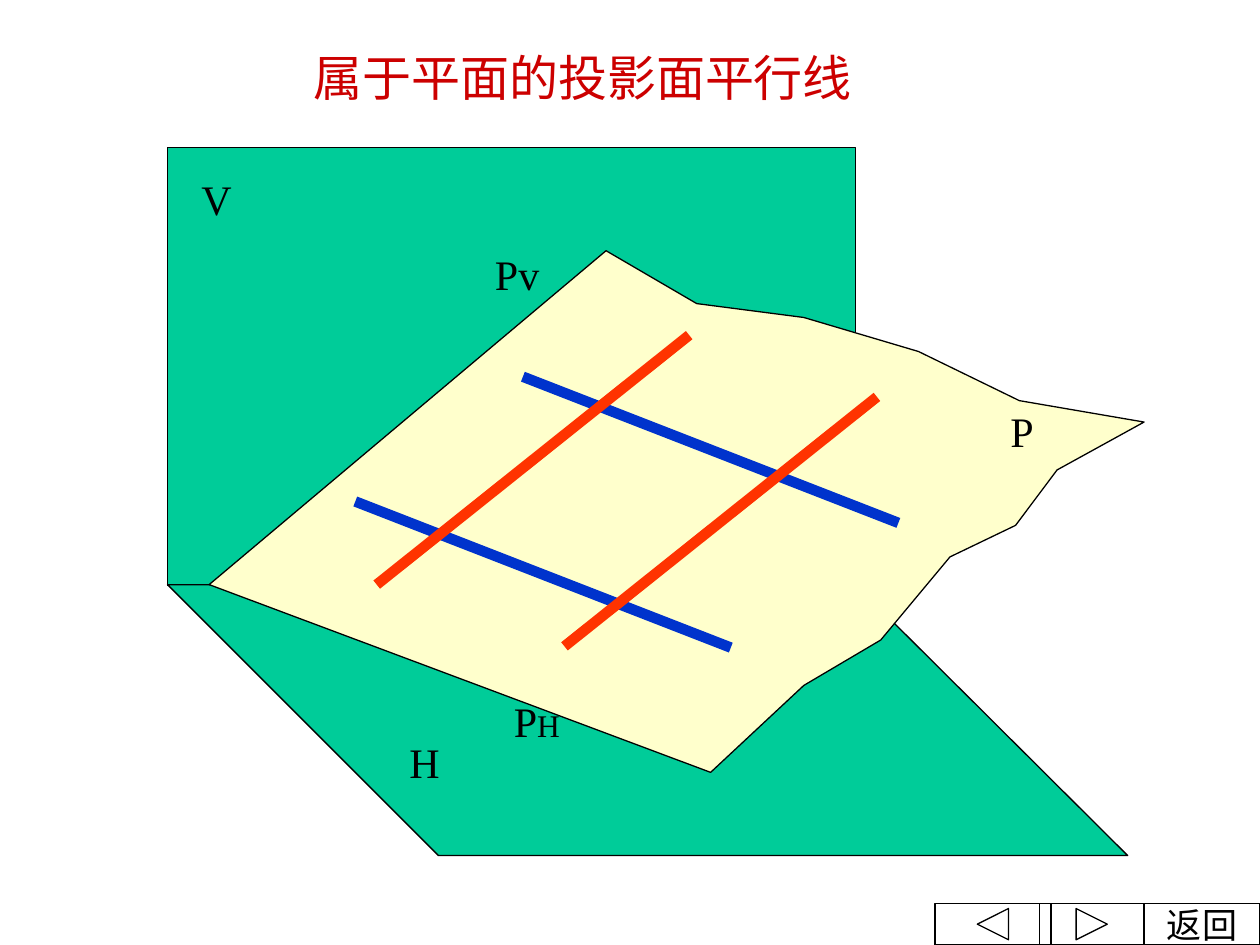
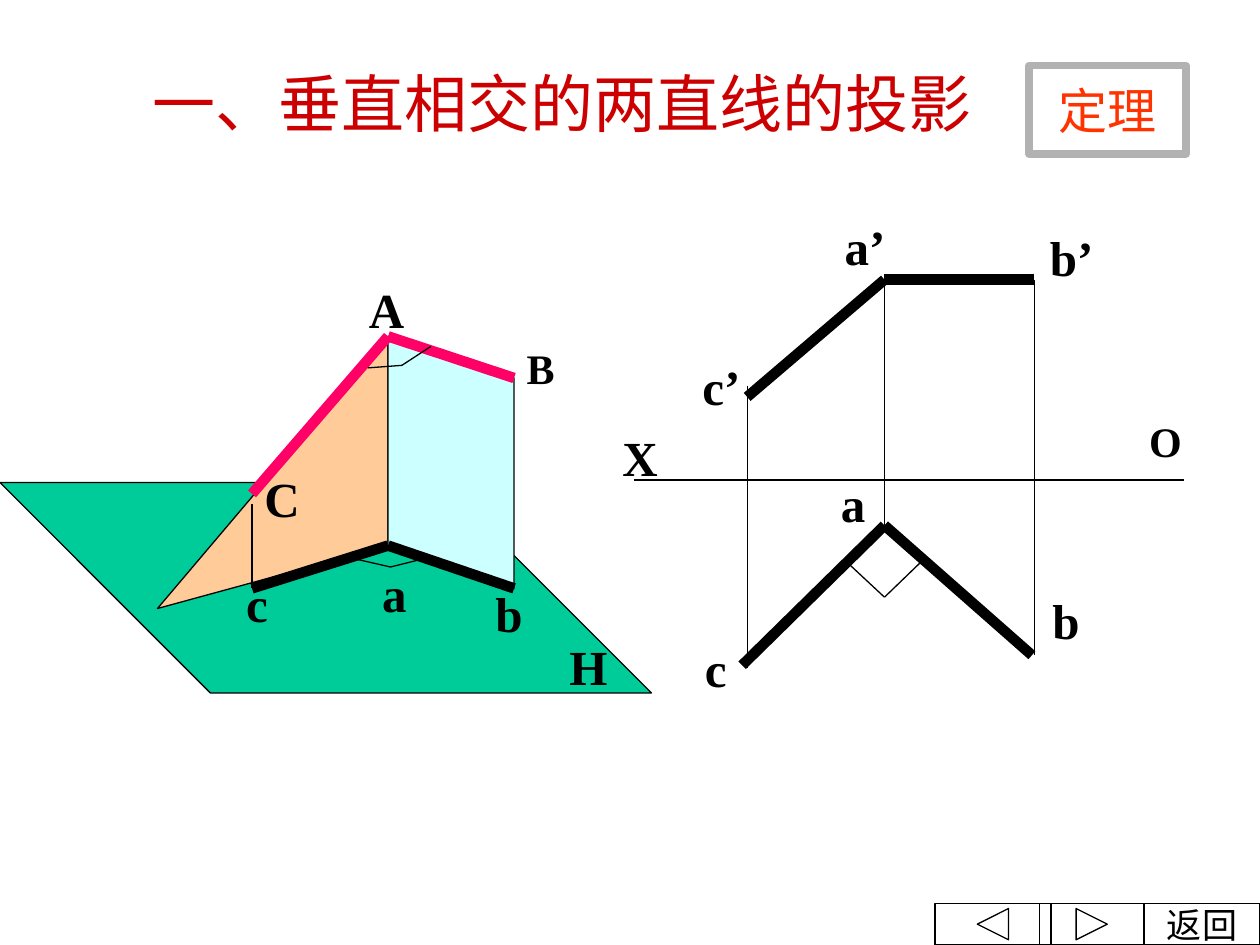
from itertools import pairwise

from lxml import etree
from pptx import Presentation
from pptx.dml.color import RGBColor
from pptx.enum.shapes import MSO_CONNECTOR, MSO_SHAPE
from pptx.enum.text import MSO_ANCHOR, MSO_AUTO_SIZE, PP_ALIGN
from pptx.oxml.ns import qn
from pptx.util import Inches, Pt

COLUMNS, ROWS = 10, 7.5
CELL = Inches(1)
TITLE_ONLY = 5
FONT = "Times New Roman"
THIN, THICK, FRAME = 0.75, 6, 4.5

BLACK = RGBColor(0x00, 0x00, 0x00)
PLANE_GREEN = RGBColor(0x00, 0xCC, 0x99)
PLANE_YELLOW = RGBColor(0xFF, 0xFF, 0xCC)
PLANE_ORANGE = RGBColor(0xFF, 0xCC, 0x99)
PLANE_CYAN = RGBColor(0xCC, 0xFF, 0xFF)
TITLE_RED = RGBColor(0xCC, 0x00, 0x00)
BLUE = RGBColor(0x00, 0x33, 0xCC)
ORANGE_RED = RGBColor(0xFF, 0x33, 0x00)
PINK = RGBColor(0xFF, 0x00, 0x66)
GREY = RGBColor(0xB2, 0xB2, 0xB2)

LEFT, CENTER = PP_ALIGN.LEFT, PP_ALIGN.CENTER
TOP, MIDDLE = MSO_ANCHOR.TOP, MSO_ANCHOR.MIDDLE
NO_AUTOFIT = MSO_AUTO_SIZE.NONE
STRAIGHT = MSO_CONNECTOR.STRAIGHT
RECTANGLE = MSO_SHAPE.RECTANGLE
BUTTON = MSO_SHAPE.ACTION_BUTTON_CUSTOM
BACK_BUTTON = MSO_SHAPE.ACTION_BUTTON_BACK_OR_PREVIOUS
NEXT_BUTTON = MSO_SHAPE.ACTION_BUTTON_FORWARD_OR_NEXT


def cells(*counts):
    return [round(count * CELL) for count in counts]


def style_run(run, size, color=BLACK, bold=False):
    run.font.name = FONT
    run.font.size = Pt(size)
    run.font.color.rgb = color
    run.font.bold = bold


def write(frame, text, size, color=BLACK, bold=False, align=CENTER):
    frame.text = text
    paragraph = frame.paragraphs[0]
    paragraph.alignment = align
    style_run(paragraph.runs[0], size, color, bold)
    return paragraph


def paint(shape, fill=None, line=BLACK, width=THIN):
    shape.shadow.inherit = False
    if fill is None:
        shape.fill.background()
    else:
        shape.fill.solid()
        shape.fill.fore_color.rgb = fill
    shape.line.color.rgb = line
    shape.line.width = Pt(width)


def add_title(slide, text, area, size, align, anchor):
    title = slide.shapes.title
    title.left, title.top, title.width, title.height = cells(*area)
    write(title.text_frame, text, size, TITLE_RED, align=align)
    title.text_frame.auto_size = NO_AUTOFIT
    title.text_frame.vertical_anchor = anchor


def add_label(slide, text, col, row, width, size=28, bold=True, align=CENTER):
    height = size * 1.2 / 72 + 0.1
    label = slide.shapes.add_textbox(*cells(col, row, width, height))
    label.text_frame.word_wrap = True
    return write(label.text_frame, text, size, bold=bold, align=align)


def add_preset(slide, preset, area, **look):
    shape = slide.shapes.add_shape(preset, *cells(*area))
    paint(shape, **look)
    return shape


def add_button(slide, text, area, size, color=BLACK, **look):
    frame = add_preset(slide, BUTTON, area, **look).text_frame
    frame.word_wrap = False
    frame.vertical_anchor = MIDDLE
    write(frame, text, size, color)


def add_outline(slide, points, fill=None, closed=True):
    start, *rest = [cells(*point) for point in points]
    builder = slide.shapes.build_freeform(*start)
    builder.add_line_segments(rest, close=closed)
    paint(builder.convert_to_shape(), fill)


def add_path(slide, points, color=BLACK, width=THIN):
    for start, end in pairwise(points):
        segment = slide.shapes.add_connector(STRAIGHT, *cells(*start, *end))
        segment.line.color.rgb = color
        segment.line.width = Pt(width)
        etree.SubElement(segment._element.spPr, qn("a:effectLst"))


def add_navigation(slide):
    height = 0.33
    top = ROWS - height
    add_button(slide, "返回", (9.08, top, COLUMNS - 9.08, height), 20)
    add_preset(slide, BACK_BUTTON, (7.42, top, 0.92, height))
    add_preset(slide, NEXT_BUTTON, (8.25, top, 0.83, height))


def build_parallel_lines(slide):
    add_title(slide, "属于平面的投影面平行线", (1.5, 0.33, 6.25, 0.57), 28, CENTER, TOP)

    add_preset(slide, RECTANGLE, (1.33, 1.17, 5.46, 3.48), fill=PLANE_GREEN)
    add_outline(slide, [(1.33, 4.64), (3.48, 6.79), (8.95, 6.79), (6.79, 4.64)], PLANE_GREEN)
    plane_p = [
        (1.66, 4.64), (4.81, 1.99), (5.53, 2.41), (6.38, 2.52), (7.29, 2.79),
        (8.09, 3.18), (9.08, 3.35), (8.39, 3.73), (8.06, 4.17), (7.54, 4.42),
        (6.99, 5.08), (6.38, 5.44), (5.64, 6.13),
    ]
    add_outline(slide, plane_p, PLANE_YELLOW)

    plane_labels = [
        ("V", 1.5, 1.33, 0.99), ("H", 3.15, 5.8, 0.99),
        ("P", 7.92, 3.17, 0.66), ("Pv", 3.83, 1.92, 1.32),
    ]
    for text, col, row, width in plane_labels:
        add_label(slide, text, col, row, width, 24, False, LEFT)
    trace = add_label(slide, "P", 3.98, 5.47, 1.32, 24, False, LEFT)
    trace_index = trace.add_run()
    trace_index.text = "H"
    style_run(trace_index, 18)

    for col, row in [(2.82, 3.98), (4.15, 2.99)]:
        add_path(slide, [(col, row), (col + 2.98, row + 1.16)], BLUE, THICK)
    for col, row in [(5.47, 2.66), (6.96, 3.15)]:
        add_path(slide, [(col, row), (col - 2.48, row + 1.98)], ORANGE_RED, THICK)


def draw_space_view(slide):
    point_a, point_b, point_c = (3.08, 2.67), (4.08, 3), (2, 3.92)
    foot_a, foot_b, foot_c = (3.08, 4.33), (4.08, 4.67), (2, 4.67)

    add_outline(slide, [(0, 3.83), (3.5, 3.83), (5.17, 5.5), (1.67, 5.5)], PLANE_GREEN)
    add_outline(slide, [(1.25, 4.83), point_a, foot_a], PLANE_ORANGE)
    add_outline(slide, [foot_a, foot_b, point_b, point_a], PLANE_CYAN)
    add_path(slide, [(2, 4), foot_c])
    add_path(slide, [point_c, point_a, point_b], PINK, THICK)
    add_path(slide, [foot_b, foot_a, foot_c], BLACK, THICK)
    add_outline(slide, [(2.92, 2.92), (3.19, 2.9), (3.42, 2.75)], closed=False)
    add_outline(slide, [(2.75, 4.42), (3.1, 4.5), (3.42, 4.42)], closed=False)

    point_labels = [
        ("A", 2.83, 2.17, 28), ("B", 4.08, 2.67, 24), ("C", 2, 3.67, 28),
        ("a", 2.92, 4.42, 28), ("b", 3.83, 4.58, 28), ("c", 1.83, 4.5, 28),
        ("H", 4.42, 5, 28),
    ]
    for text, col, row, size in point_labels:
        add_label(slide, text, col, row, 0.42, size)


def draw_two_views(slide):
    col_a, col_b, col_c = 7.02, 8.21, 5.93
    front_row, foot_row, corner_row = 2.22, 4.17, 4.74

    add_path(slide, [(5.03, 3.81), (9.4, 3.81)])
    add_path(slide, [(col_c, 3.15), (col_a, front_row)], BLACK, THICK)
    add_path(slide, [(col_a, front_row), (col_b, front_row)], BLACK, THICK)
    add_path(slide, [(5.89, 5.28), (col_a, foot_row), (8.19, 5.2)], BLACK, THICK)
    for col, top, bottom in [(col_a, front_row, foot_row), (col_b, front_row, 5.2), (col_c, 3.06, 5.3)]:
        add_path(slide, [(col, top), (col, bottom)])
    add_path(slide, [(6.72, 4.46), (col_a, corner_row), (7.31, 4.46)])

    view_labels = [
        ("a’", 6.52, 1.67, 0.69, 28), ("b’", 8.11, 1.76, 0.79, 28),
        ("c’", 5.33, 2.78, 0.79, 28), ("a", 6.52, 3.71, 0.5, 28),
        ("b", 8.21, 4.64, 0.5, 28), ("c", 5.43, 5.02, 0.5, 28),
        ("X", 4.83, 3.34, 0.5, 28), ("O", 9, 3.25, 0.5, 24),
    ]
    for text, col, row, width, size in view_labels:
        add_label(slide, text, col, row, width, size)


def build_perpendicular_lines(slide):
    add_title(slide, "一、垂直相交的两直线的投影", (1.11, 0.39, 6.96, 0.84), 36, LEFT, MIDDLE)
    draw_space_view(slide)
    draw_two_views(slide)
    add_button(slide, "定理", (8.17, 0.52, 1.24, 0.7), 28, ORANGE_RED, line=GREY, width=FRAME)


def main():
    deck = Presentation()
    deck.slide_width, deck.slide_height = cells(COLUMNS, ROWS)
    for build in (build_parallel_lines, build_perpendicular_lines):
        slide = deck.slides.add_slide(deck.slide_layouts[TITLE_ONLY])
        build(slide)
        add_navigation(slide)
    deck.save("out.pptx")


if __name__ == "__main__":
    main()
